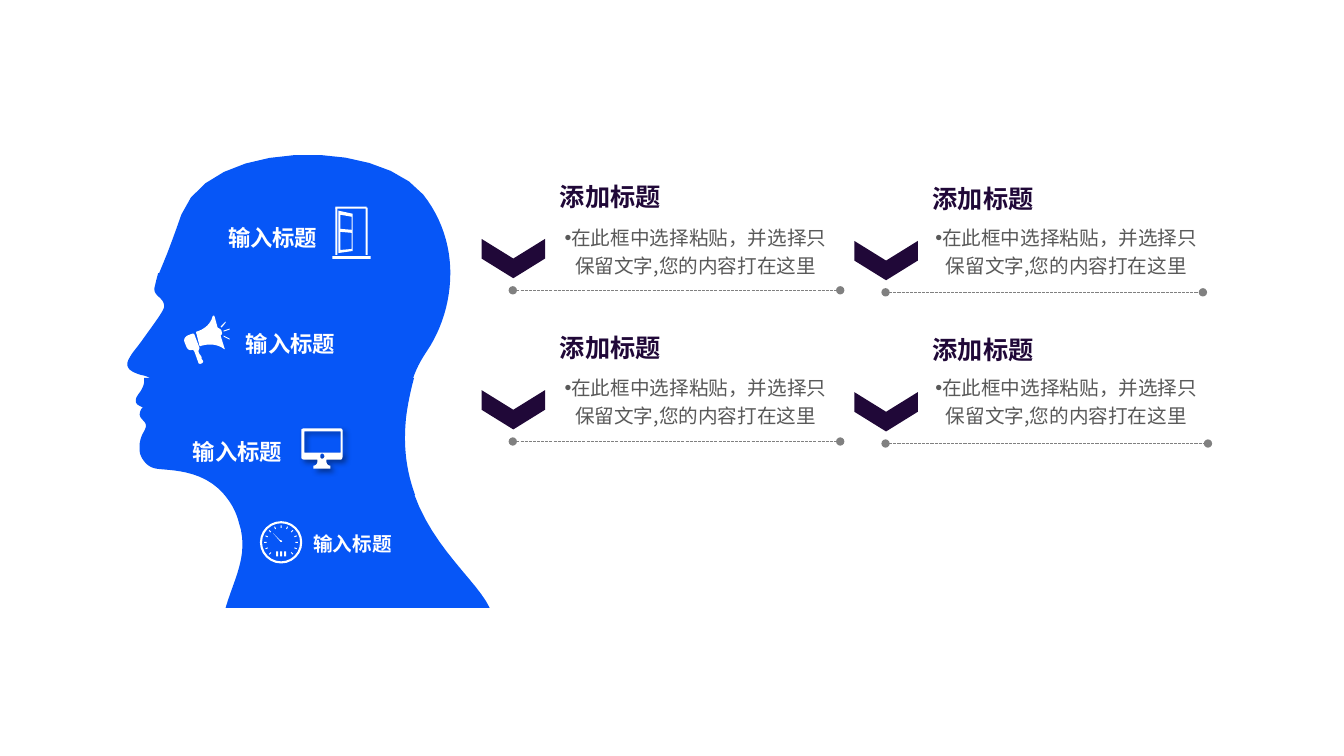
from lxml.etree import SubElement
from pptx import Presentation
from pptx.dml.color import RGBColor
from pptx.enum.dml import MSO_LINE
from pptx.enum.shapes import MSO_CONNECTOR, MSO_SHAPE
from pptx.enum.text import MSO_ANCHOR, MSO_AUTO_SIZE, PP_ALIGN
from pptx.oxml import parse_xml
from pptx.oxml.ns import nsdecls, qn
from pptx.util import Inches, Pt
from math import cos, radians, sin

BLUE = RGBColor(0x06, 0x56, 0xF7)
WHITE = RGBColor(0xFF, 0xFF, 0xFF)
PURPLE = RGBColor(0x20, 0x08, 0x38)
GREY = RGBColor(0x80, 0x80, 0x80)
TEXT_GREY = RGBColor(0x59, 0x59, 0x59)
FONT = "Noto Sans CJK SC"

HEAD = [
    "M 288,354 C 307,408 351,441 363,467 L 101,467 C 109,439 125,414 114,382 111,370 105,361 99,354",
    "M 35,135 C 41,120 43,117 57,77 84,3 250,0 297,57 316,81 324,109 324,135",
    "M 30,246 C 30,244 29,243 28,241 25,238 22,237 17,236 7,233 0,229 5,220 10,211 11,212 20,199 "
    "30,185 40,172 40,168 40,158 27,158 31,147 32,142 33,139 34,135 L 324,135 "
    "C 324,164 315,191 301,212 295,221 289,231 285,246",
    "M 280,279 C 277,309 281,333 289,355 L 100,355 C 78,329 45,331 32,329 21,327 17,317 16,314 "
    "15,308 15,300 20,292 25,283 19,283 16,277 15,274 17,270 18,269 20,268 17,268 13,265 "
    "10,261 13,257 16,253 18,250 21,245 20,239 L 288,239 C 285,250 282,263 280,279",
]
MEGAPHONE = [
    "M 15,36 C 15,36 16,34 16,33 L 11,20 C 11,20 11,19 9,19 L 4,21 C 4,21 0,23 1,27 L 3,32 "
    "C 3,32 5,37 9,35 9,35 10,35 11,37 L 15,48 C 15,48 15,49 17,49 17,49 22,48 18,44 19,41 15,40 15,36",
    "M 37,21 C 38,20 39,19 38,17 38,15 36,14 34,13 L 31,2 C 30,0 29,2 29,2 26,14 13,17 13,17 "
    "12,18 13,19 13,19 L 16,31 C 17,32 18,31 18,31 32,27 40,34 40,34 40,34 42,35 41,34",
    "M 42,8 L 42,7 37,12 38,13",
    "M 40,22 L 46,25 46,24 40,21",
    "M 40,17 L 46,15 46,14 40,16",
]
MONITOR = (
    "M 39,0 L 3,0 C 1,0 0,1 0,2 L 0,28 C 0,30 1,31 3,31 L 16,31 C 16,31 17,37 12,37 "
    "L 12,40 29,40 29,37 C 24,37 25,31 25,31 L 39,31 C 40,31 41,30 41,28 L 41,2 C 41,1 40,0 39,0 "
    "M 39,24 L 3,24 3,3 39,3 M 19,28 C 19,26 19,25 21,25 22,25 23,26 23,28 23,29 22,30 21,30 19,30 19,29 19,28"
)
DOOR_LEAF = "M 6,4 L 6,46 20,44 20,7 M 8,8 L 19,10 19,23 8,22 M 19,42 L 8,43 8,25 19,26"
DOOR_FRAME = [(0.03, 0.01, 0.02, 0.47), (0.03, 0, 0.31, 0.02), (0.33, 0.01, 0.02, 0.47), (0, 0.49, 0.38, 0.03)]

LABELS = [
    (2.39, 3.24, 1.16, 0.32, 16, PP_ALIGN.LEFT),
    (2.01, 2.19, 1.19, 0.32, 16, PP_ALIGN.RIGHT),
    (1.83, 4.32, 1.02, 0.32, 16, PP_ALIGN.RIGHT),
    (3.06, 5.25, 1.02, 0.29, 14, PP_ALIGN.LEFT),
]
CARDS = [
    (4.78, 1.75, 3.56, 5.45, 2.14),
    (4.78, 3.25, 3.56, 5.45, 3.63),
    (8.48, 1.77, 3.46, 9.13, 2.14),
    (8.48, 3.27, 3.51, 9.13, 3.63),
]


def trace(outline):
    """Turn M, L and C commands into contours of points, with curves flattened."""
    contours, controls, command = [], [], ""
    for token in outline.split():
        if token in "MLC":
            command = token
            continue
        point = tuple(float(number) for number in token.split(","))
        if command == "M":
            contours.append([point])
        elif command == "L":
            contours[-1].append(point)
        else:
            controls.append(point)
            if len(controls) == 3:
                bezier = list(zip(contours[-1][-1], *controls))
                for t in (step / 12 for step in range(1, 13)):
                    u = 1 - t
                    contours[-1].append(tuple(
                        a * u**3 + 3 * b * u * u * t + 3 * c * u * t * t + d * t**3 for a, b, c, d in bezier))
                controls = []
    return contours


def paint(shape, color):
    """Give a shape a plain fill without line or shadow."""
    shape.shadow.inherit = False
    shape.fill.solid()
    shape.fill.fore_color.rgb = color
    shape.line.fill.background()
    return shape


def add_outline(shapes, left, top, outline, color):
    """Draw an outline given in hundredths of an inch from left and top."""
    unit = Inches(0.01)
    contours = [[(x * unit, y * unit) for x, y in contour] for contour in trace(outline)]
    builder = shapes.build_freeform(*contours[0][0], scale=1.0)
    for number, contour in enumerate(contours):
        if number:
            builder.move_to(*contour[0])
        builder.add_line_segments(contour[1:], close=True)
    return paint(builder.convert_to_shape(Inches(left), Inches(top)), color)


def add_preset(shapes, preset, left, top, width, height, color):
    """Draw a painted preset shape."""
    return paint(shapes.add_shape(preset, Inches(left), Inches(top), Inches(width), Inches(height)), color)


def style(paragraph, size, color, bold):
    """Set the paragraph font for Latin and East Asian text."""
    font = paragraph.font
    font.name, font.size, font.bold = FONT, Pt(size), bold
    font.color.rgb = color
    defaults = paragraph._p.get_or_add_pPr().find(qn("a:defRPr"))
    SubElement(defaults, qn("a:ea")).set("typeface", FONT)


def add_door(slide, left, top):
    """Draw the open door icon."""
    shapes = slide.shapes.add_group_shape().shapes
    for x, y, width, height in DOOR_FRAME:
        add_preset(shapes, MSO_SHAPE.RECTANGLE, left + x, top + y, width, height, WHITE)
    add_outline(shapes, left, top, DOOR_LEAF, WHITE)


def add_megaphone(slide, left, top):
    """Draw the megaphone icon."""
    shapes = slide.shapes.add_group_shape().shapes
    for outline in MEGAPHONE:
        add_outline(shapes, left, top, outline, WHITE)


def add_monitor(slide, left, top):
    """Draw the monitor icon with its soft shadow."""
    monitor = add_outline(slide.shapes, left, top, MONITOR, WHITE)
    effects = monitor._element.spPr.find(qn("a:effectLst"))
    effects.append(parse_xml(
        f'<a:outerShdw {nsdecls("a")} blurRad="{Pt(4)}" dist="{Pt(3)}" dir="2700000" algn="tl" rotWithShape="0">'
        '<a:srgbClr val="000000"><a:alpha val="40000"/></a:srgbClr></a:outerShdw>'))


def add_gauge(slide, left, top):
    """Draw the gauge icon with ticks every 22.5 degrees."""
    shapes = slide.shapes.add_group_shape().shapes
    dial = add_preset(shapes, MSO_SHAPE.DONUT, left, top, 0.42, 0.42, WHITE)
    dial.adjustments[0] = 0.05
    for x in (0.16, 0.2, 0.24):
        add_preset(shapes, MSO_SHAPE.RECTANGLE, left + x, top + 0.3, 0.02, 0.05, WHITE)
    add_outline(shapes, left, top, "M 13,12 L 20,20 C 20,21 22,21 22,20 22,19 21,19 20,19", WHITE)
    for step in range(-6, 7):
        angle = step * 22.5
        x = left + 0.21 + 0.155 * sin(radians(angle))
        y = top + 0.21 - 0.155 * cos(radians(angle))
        tick = add_preset(shapes, MSO_SHAPE.RECTANGLE, x - 0.005, y - 0.0125, 0.01, 0.025, WHITE)
        tick.rotation = angle


def add_label(slide, left, top, width, height, size, alignment):
    """Write one white label on the head."""
    frame = slide.shapes.add_textbox(Inches(left), Inches(top), Inches(width), Inches(height)).text_frame
    frame.word_wrap = True
    frame.margin_left = frame.margin_right = Inches(0.05)
    frame.margin_top = frame.margin_bottom = Inches(0.03)
    label = frame.paragraphs[0]
    label.text = "输入标题"
    label.alignment = alignment
    style(label, size, WHITE, True)


def add_head(slide, left, top):
    """Draw the head silhouette with its icons and labels."""
    for outline in HEAD:
        add_outline(slide.shapes, left, top, outline, BLUE)
    add_megaphone(slide, left + 0.59, top + 1.76)
    add_monitor(slide, left + 1.76, top + 2.89)
    add_door(slide, left + 2.07, top + 0.69)
    add_gauge(slide, left + 1.35, top + 3.81)
    for label in LABELS:
        add_label(slide, *label)


def fill_body(body, left, top):
    """Move a body placeholder and write its bulleted text."""
    body.left, body.top, body.width, body.height = Inches(left), Inches(top), Inches(2.91), Inches(0.64)
    frame = body.text_frame
    frame.auto_size = MSO_AUTO_SIZE.NONE
    frame.vertical_anchor = MSO_ANCHOR.TOP
    item = frame.paragraphs[0]
    item.text = "在此框中选择粘贴，并选择只保留文字,您的内容打在这里"
    item.alignment = PP_ALIGN.CENTER
    item.line_spacing = 1.2
    item.space_before = Pt(0)
    style(item, 14, TEXT_GREY, False)
    properties = item._p.get_or_add_pPr()
    properties.set("marL", "0")
    properties.set("indent", "0")
    properties.find(qn("a:defRPr")).addprevious(parse_xml(f'<a:buChar {nsdecls("a")} char="•"/>'))


def add_card(slide, body, left, top, width, body_left, body_top):
    """Place a chevron, a dotted rule, a heading and a body text."""
    chevron = add_preset(slide.shapes, MSO_SHAPE.CHEVRON, left + 0.12, top + 0.5, 0.39, 0.63, PURPLE)
    chevron.rotation = 90
    rule_y = Inches(top + 1.13)
    rule = slide.shapes.add_connector(
        MSO_CONNECTOR.STRAIGHT, Inches(left + 0.31), rule_y, Inches(left + width), rule_y)
    rule.line.color.rgb = GREY
    rule.line.width = Pt(0.75)
    rule.line.dash_style = MSO_LINE.SQUARE_DOT
    for end in ("a:headEnd", "a:tailEnd"):
        SubElement(rule.line._get_or_add_ln(), qn(end)).set("type", "oval")
    SubElement(rule._element.spPr, qn("a:effectLst"))
    frame = slide.shapes.add_textbox(Inches(left + 0.68), Inches(top), Inches(1.21), Inches(0.4)).text_frame
    frame.word_wrap = False
    heading = frame.paragraphs[0]
    heading.text = "添加标题"
    style(heading, 18, PURPLE, True)
    fill_body(body, body_left, body_top)


def main():
    """Build and save the slide."""
    deck = Presentation()
    deck.slide_width, deck.slide_height = Inches(13.34), Inches(7.5)
    slide = deck.slides.add_slide(deck.slide_layouts.get_by_name("Comparison"))
    title, *bodies = slide.placeholders
    title._element.getparent().remove(title._element)
    add_head(slide, 1.23, 1.36)
    for body, card in zip(bodies, CARDS):
        add_card(slide, body, *card)
    deck.save("out.pptx")


if __name__ == "__main__":
    main()
